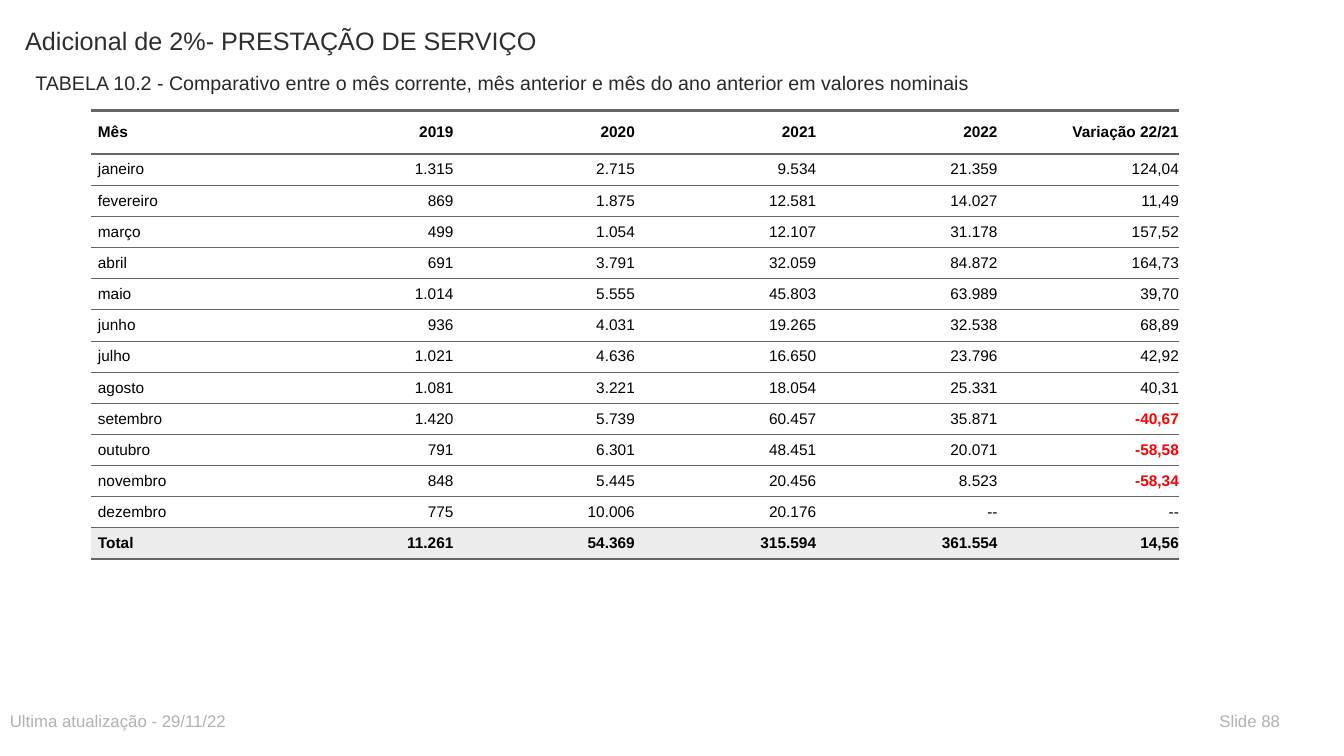
import pptx
import pptx.util
import pptx.dml.color
import pptx.enum.text
import pptx.oxml
import pptx.oxml.ns

Cm, Pt = pptx.util.Cm, pptx.util.Pt
ALIGN = pptx.enum.text.PP_ALIGN
ANCHOR = pptx.enum.text.MSO_ANCHOR

COLORS = {
    "title": "2D2E2D", "subtitle": "292929", "footer": "B2B2B2",
    "text": "000000", "negative": "FF0000", "border": "666666",
    "cell": "FFFFFF", "total": "ECECEC",
}
NO_STYLE_TABLE = "{2D5ABB26-0587-4C30-8999-92F81FD0307C}"

MONTHLY_VALUES = [
    ("Mês", "2019", "2020", "2021", "2022", "Variação 22/21"),
    ("janeiro", "1.315", "2.715", "9.534", "21.359", "124,04"),
    ("fevereiro", "869", "1.875", "12.581", "14.027", "11,49"),
    ("março", "499", "1.054", "12.107", "31.178", "157,52"),
    ("abril", "691", "3.791", "32.059", "84.872", "164,73"),
    ("maio", "1.014", "5.555", "45.803", "63.989", "39,70"),
    ("junho", "936", "4.031", "19.265", "32.538", "68,89"),
    ("julho", "1.021", "4.636", "16.650", "23.796", "42,92"),
    ("agosto", "1.081", "3.221", "18.054", "25.331", "40,31"),
    ("setembro", "1.420", "5.739", "60.457", "35.871", "-40,67"),
    ("outubro", "791", "6.301", "48.451", "20.071", "-58,58"),
    ("novembro", "848", "5.445", "20.456", "8.523", "-58,34"),
    ("dezembro", "775", "10.006", "20.176", "--", "--"),
    ("Total", "11.261", "54.369", "315.594", "361.554", "14,56"),
]


class SlideBuilder:
    """Holds the shared style and the slide being built."""

    font_name = "Arial"

    def __init__(self, deck):
        self.slide = deck.slides.add_slide(deck.slide_layouts[5])

    def style_font(self, para, size, color, bold=False):
        para.font.name = self.font_name
        para.font.size = Pt(size)
        para.font.bold = bold
        para.font.color.rgb = pptx.dml.color.RGBColor.from_string(COLORS[color])

    def fill_box(self, box, text, place, size, color):
        box.left, box.top, box.width, box.height = map(Cm, place)
        frame = box.text_frame
        frame.word_wrap = True
        frame.auto_size = pptx.enum.text.MSO_AUTO_SIZE.NONE
        frame.vertical_anchor = ANCHOR.TOP
        frame.text = text
        para = frame.paragraphs[0]
        para.alignment = ALIGN.LEFT
        self.style_font(para, size, color)

    def title(self, text, place, size, color):
        self.fill_box(self.slide.shapes.title, text, place, size, color)

    def text(self, text, place, size, color):
        box = self.slide.shapes.add_textbox(0, 0, 0, 0)
        self.fill_box(box, text, place, size, color)

    def border(self, cell, side, width):
        """Draw one cell side ("T" or "B"); call it before the cell is filled."""
        line = pptx.oxml.parse_xml(
            f'<a:ln{side} {pptx.oxml.ns.nsdecls("a")} w="{Pt(width)}"><a:solidFill>'
            f'<a:srgbClr val="{COLORS["border"]}"/></a:solidFill></a:ln{side}>')
        cell._tc.get_or_add_tcPr().append(line)

    def cell(self, cell, text, is_label, is_header, is_total):
        strong = is_header or is_total
        if strong:
            self.border(cell, "T", 2 if is_header else 0.5)
        self.border(cell, "B", 2 if strong else 0.5)
        cell.fill.solid()
        fill_name = "total" if is_total else "cell"
        cell.fill.fore_color.rgb = pptx.dml.color.RGBColor.from_string(COLORS[fill_name])
        cell.margin_left = cell.margin_right = 0
        cell.margin_top = cell.margin_bottom = Pt(5)
        cell.vertical_anchor = ANCHOR.MIDDLE
        cell.text = text
        para = cell.text_frame.paragraphs[0]
        para.alignment = ALIGN.LEFT if is_label else ALIGN.RIGHT
        para.space_after = Pt(5)
        para._p.get_or_add_pPr().set("marL", str(Pt(5)))
        negative = text.startswith("-") and text != "--"
        self.style_font(para, 11, "negative" if negative else "text", strong or negative)

    def table(self, rows, left, top, column_width, header_height, row_height):
        width = Cm(column_width * len(rows[0]))
        height = Cm(header_height + row_height * (len(rows) - 1))
        frame = self.slide.shapes.add_table(
            len(rows), len(rows[0]), Cm(left), Cm(top), width, height)
        table = frame.table
        table.horz_banding = False
        for style in frame.element.iter(pptx.oxml.ns.qn("a:tableStyleId")):
            style.text = NO_STYLE_TABLE
        for column in table.columns:
            column.width = Cm(column_width)
        for r, values in enumerate(rows):
            table.rows[r].height = Cm(row_height if r else header_height)
            for c, value in enumerate(values):
                self.cell(table.cell(r, c), value, c == 0, r == 0, r == len(rows) - 1)


def main():
    deck = pptx.Presentation()
    deck.slide_width, deck.slide_height = Cm(33.87), Cm(19.05)
    page = SlideBuilder(deck)
    page.title("Adicional de 2%- PRESTAÇÃO DE SERVIÇO", (0.38, 0.51, 20.32, 1.5), 18, "title")
    page.text("TABELA 10.2 - Comparativo entre o mês corrente, mês anterior e mês do ano "
              "anterior em valores nominais", (0.64, 1.65, 25.4, 0.76), 14, "subtitle")
    page.table(MONTHLY_VALUES, left=2.29, top=2.79, column_width=4.57,
               header_height=1.09, row_height=0.64)
    page.text("Ultima atualização - 29/11/22", (0, 17.78, 16.51, 0.76), 12, "footer")
    page.text("Slide 88", (30.48, 17.78, 2.29, 0.76), 12, "footer")
    deck.save("out.pptx")


if __name__ == "__main__":
    main()
